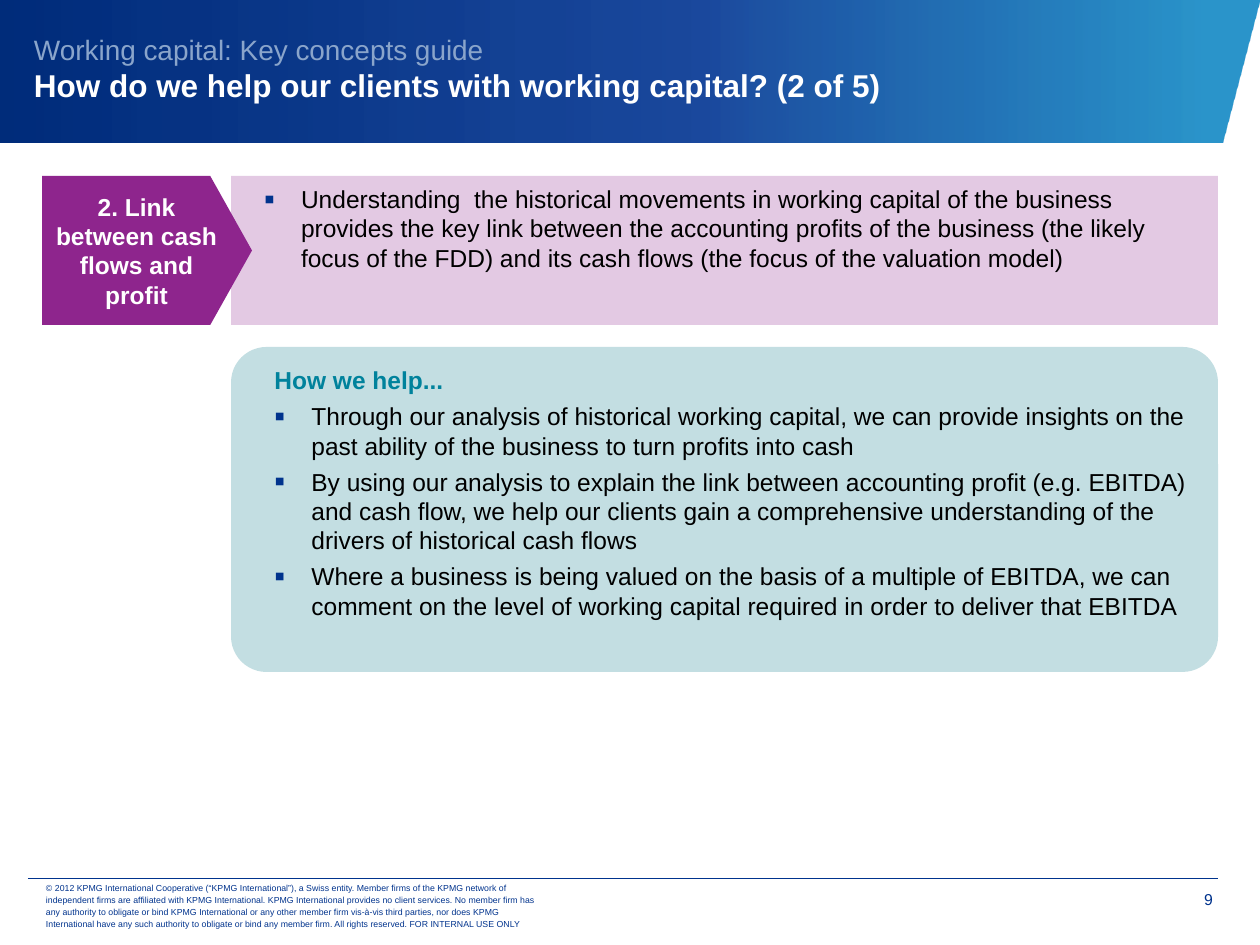
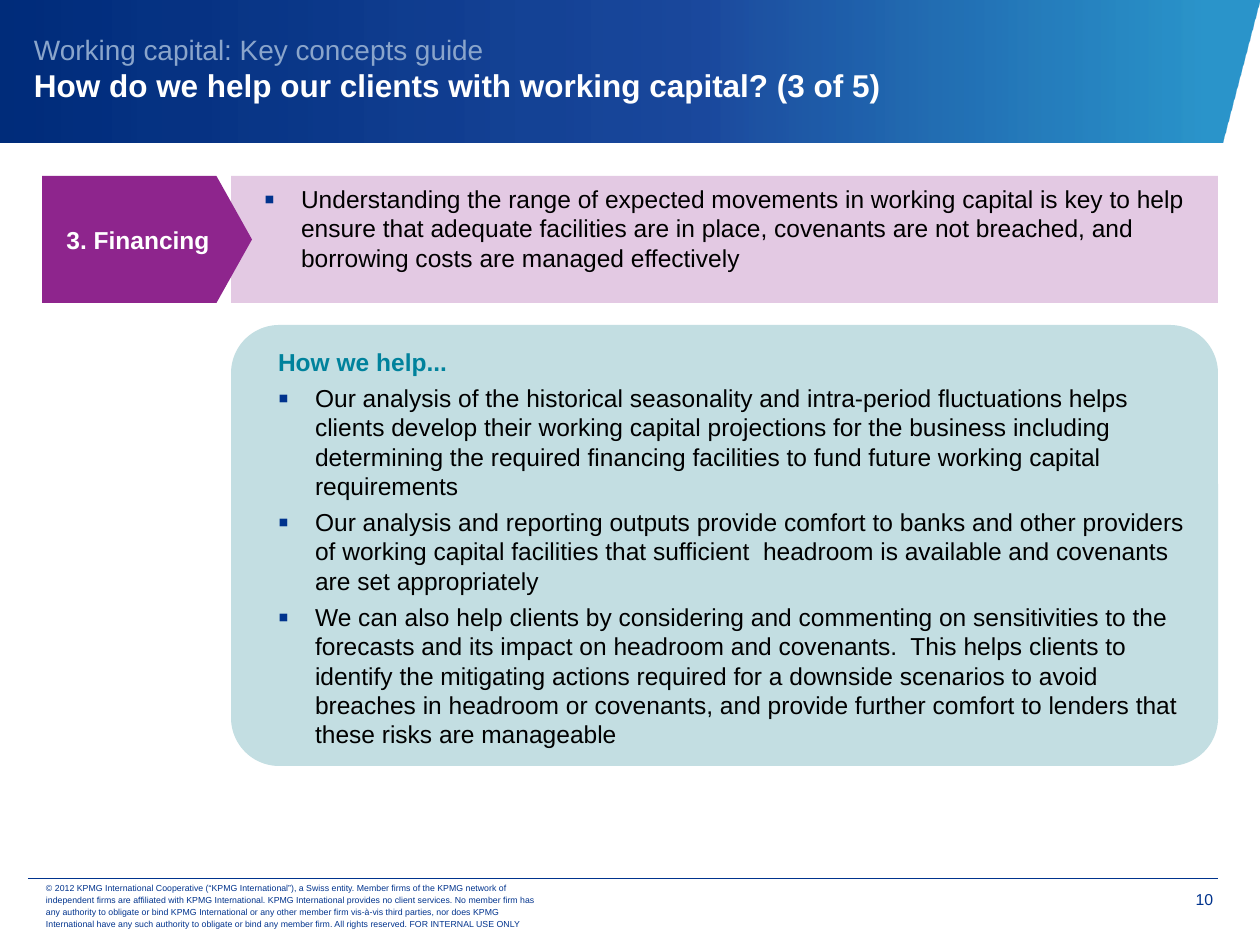
from lxml.etree import SubElement
from pptx import Presentation
from pptx.dml.color import RGBColor
from pptx.enum.shapes import MSO_CONNECTOR, MSO_SHAPE
from pptx.enum.text import MSO_ANCHOR as Anchor, MSO_AUTO_SIZE, PP_ALIGN as Align
from pptx.oxml import parse_xml
from pptx.oxml.ns import nsdecls, qn
from pptx.util import Pt

EMU_PER_PX = 914400 / 126
SLIDE_WIDTH, SLIDE_HEIGHT = 1260, 945
TITLE_ONLY = 5

# Shared style
FONT = "Arial"
BLACK, WHITE = "000000", "FFFFFF"
NAVY, PALE_BLUE, TEAL = "00338D", "8AA5CB", "00829C"
PURPLE, LILAC, AQUA = "8E258D", "E3C9E3", "C3DEE2"
BAND_STOPS = [(4, "0080C0", 83), (44, "003492", 89), (100, "002C7A", 100)]
BODY_SIZE = 14
BODY_SPACE = 3.7
PADDING = (8, 8, 8, 8)

# Shared grid
LABEL_LEFT, LABEL_WIDTH = 42, 210
PANEL_LEFT, PANEL_WIDTH = 231, 987
PANEL_TOP, PANEL_GAP = 176, 22
TEXT_INDENT, BULLET_HANG = 62, 37

GUIDE_NAME = "Working capital: Key concepts guide"
COPYRIGHT = (
    "© 2012 KPMG International Cooperative (“KPMG International”), a Swiss entity. "
    "Member firms of the KPMG network of independent firms are affiliated with KPMG "
    "International. KPMG International provides no client services. No member firm has "
    "any authority to obligate or bind KPMG International or any other member firm "
    "vis-à-vis third parties, nor does KPMG International have any such authority to "
    "obligate or bind any member firm. All rights reserved. FOR INTERNAL USE ONLY"
)

TOPICS = [
    dict(
        number=9,
        title="How do we help our clients with working capital? (2 of 5)",
        label="2. Link between cash flows and profit",
        summary="Understanding  the historical movements in working capital of the "
                "business provides the key link between the accounting profits of the "
                "business (the likely focus of the FDD) and its cash flows (the focus of "
                "the valuation model)",
        summary_height=149,
        help_points=[
            "Through our analysis of historical working capital, we can provide insights "
            "on the past ability of the business to turn profits into cash",
            "By using our analysis to explain the link between accounting profit (e.g. "
            "EBITDA) and cash flow, we help our clients gain a comprehensive "
            "understanding of the drivers of historical cash flows",
            "Where a business is being valued on the basis of a multiple of EBITDA, we "
            "can comment on the level of working capital required in order to deliver "
            "that EBITDA",
        ],
        help_height=325,
    ),
    dict(
        number=10,
        title="How do we help our clients with working capital? (3 of 5)",
        label="3. Financing",
        summary="Understanding the range of expected movements in working capital is key "
                "to help ensure that adequate facilities are in place, covenants are not "
                "breached, and borrowing costs are managed effectively",
        summary_height=127,
        help_points=[
            "Our analysis of the historical seasonality and intra-period fluctuations "
            "helps clients develop their working capital projections for the business "
            "including determining the required financing facilities to fund future "
            "working capital requirements",
            "Our analysis and reporting outputs provide comfort to banks and other "
            "providers of working capital facilities that sufficient  headroom is "
            "available and covenants are set appropriately",
            "We can also help clients by considering and commenting on sensitivities to "
            "the forecasts and its impact on headroom and covenants.  This helps clients "
            "to identify the mitigating actions required for a downside scenarios to "
            "avoid breaches in headroom or covenants, and provide further comfort to "
            "lenders that these risks are manageable",
        ],
        help_height=441,
    ),
]


def px(length):
    return round(length * EMU_PER_PX)


def color(hex_string):
    return RGBColor.from_string(hex_string)


def add_run(paragraph, text, size=BODY_SIZE, fill=BLACK, bold=False):
    run = paragraph.add_run()
    run.text = text
    run.font.name, run.font.size, run.font.bold = FONT, Pt(size), bold
    run.font.color.rgb = color(fill)


def set_frame(shape, anchor=Anchor.TOP, insets=(13, 6, 13, 6)):
    """Insets are left, top, right, bottom."""
    frame = shape.text_frame
    frame.word_wrap = True
    frame.auto_size = MSO_AUTO_SIZE.NONE
    frame.vertical_anchor = anchor
    (frame.margin_left, frame.margin_top,
     frame.margin_right, frame.margin_bottom) = map(px, insets)
    return frame


def set_indent(paragraph, bullet=False):
    properties = paragraph._p.get_or_add_pPr()
    properties.set("marL", str(px(TEXT_INDENT)))
    properties.set("indent", str(-px(BULLET_HANG)))
    if bullet:
        bullet_color = SubElement(properties, qn("a:buClr"))
        SubElement(bullet_color, qn("a:srgbClr"), val=NAVY)
        SubElement(properties, qn("a:buSzPct"), val="125000")
        SubElement(properties, qn("a:buFont"), typeface=FONT)
        SubElement(properties, qn("a:buChar"), char="▪")


def add_list(frame, points, heading=None):
    entries = [(point, True) for point in points]
    if heading:
        entries.insert(0, (heading, False))
    for index, (text, bullet) in enumerate(entries):
        paragraph = frame.add_paragraph() if index else frame.paragraphs[0]
        set_indent(paragraph, bullet)
        paragraph.alignment = Align.LEFT
        if index:
            paragraph.space_before = Pt(BODY_SPACE)
        add_run(paragraph, text, fill=BLACK if bullet else TEAL, bold=not bullet)


def add_panel(slide, kind, left, top, width, height, fill, adjustment=None):
    shape = slide.shapes.add_shape(kind, px(left), px(top), px(width), px(height))
    shape.shadow.inherit = False
    shape.fill.solid()
    shape.fill.fore_color.rgb = color(fill)
    shape.line.fill.background()
    if adjustment is not None:
        shape.adjustments[0] = adjustment
    return shape


def add_note(slide, left, top, width, height, text, size, align=Align.LEFT,
             line_spacing=None, **frame_format):
    box = slide.shapes.add_textbox(px(left), px(top), px(width), px(height))
    paragraph = set_frame(box, **frame_format).paragraphs[0]
    paragraph.alignment = align
    if line_spacing:
        paragraph.line_spacing = Pt(line_spacing)
    add_run(paragraph, text, size=size, fill=NAVY)


def add_band(slide):
    builder = slide.shapes.build_freeform(-1, 142, scale=EMU_PER_PX)
    builder.add_line_segments([(1222, 142), (1260, -1), (-1, 0)], close=True)
    band = builder.convert_to_shape()
    band.shadow.inherit = False
    band.line.fill.background()
    band.fill.gradient()
    band.fill.gradient_angle = 180
    stops = "".join(
        f'<a:gs pos="{position * 1000}"><a:srgbClr val="{fill}">'
        f'<a:alpha val="{opacity * 1000}"/></a:srgbClr></a:gs>'
        for position, fill, opacity in BAND_STOPS
    )
    old_stops = next(band.element.iter(qn("a:gsLst")))
    old_stops.getparent().replace(
        old_stops, parse_xml(f"<a:gsLst {nsdecls('a')}>{stops}</a:gsLst>"))
    return band


def add_title(slide, text):
    title = slide.shapes.title
    title.left, title.top, title.width, title.height = map(px, (21, 0, 1239, 136))
    paragraph = set_frame(title, anchor=Anchor.MIDDLE).paragraphs[0]
    paragraph.alignment = Align.LEFT
    add_run(paragraph, GUIDE_NAME, size=16, fill=PALE_BLUE)
    paragraph.add_line_break()
    add_run(paragraph, text, size=18, fill=WHITE, bold=True)
    # The band goes behind the title
    title.element.addprevious(add_band(slide).element)


def add_footer(slide, number):
    rule = slide.shapes.add_connector(
        MSO_CONNECTOR.STRAIGHT, px(28), px(878), px(1218), px(878))
    rule.line.color.rgb = color(NAVY)
    rule.line.width = Pt(0.25)
    SubElement(rule.element.spPr, qn("a:effectLst"))
    add_note(slide, 1144, 880, 69, 39, str(number), 9, align=Align.RIGHT,
             insets=(10, 10, 0, 0))
    add_note(slide, 33, 883, 523, 44, COPYRIGHT, 5, line_spacing=7,
             anchor=Anchor.MIDDLE)


def add_summary(slide, label, summary, height):
    panel = add_panel(slide, MSO_SHAPE.RECTANGLE, PANEL_LEFT, PANEL_TOP,
                      PANEL_WIDTH, height, LILAC)
    add_list(set_frame(panel, insets=PADDING), [summary])
    arrow = add_panel(slide, MSO_SHAPE.PENTAGON, LABEL_LEFT, PANEL_TOP,
                      LABEL_WIDTH, height, PURPLE, adjustment=0.28)
    paragraph = set_frame(arrow, Anchor.MIDDLE, PADDING).paragraphs[0]
    paragraph.alignment = Align.CENTER
    add_run(paragraph, label, fill=WHITE, bold=True)


def add_help(slide, points, top, height):
    panel = add_panel(slide, MSO_SHAPE.ROUNDED_RECTANGLE, PANEL_LEFT, top,
                      PANEL_WIDTH, height, AQUA, adjustment=0.109)
    add_list(set_frame(panel, insets=PADDING), points, heading="How we help...")


def add_topic_slide(presentation, topic):
    slide = presentation.slides.add_slide(presentation.slide_layouts[TITLE_ONLY])
    add_title(slide, topic["title"])
    add_footer(slide, topic["number"])
    add_summary(slide, topic["label"], topic["summary"], topic["summary_height"])
    help_top = PANEL_TOP + topic["summary_height"] + PANEL_GAP
    add_help(slide, topic["help_points"], help_top, topic["help_height"])


def main():
    presentation = Presentation()
    presentation.slide_width = px(SLIDE_WIDTH)
    presentation.slide_height = px(SLIDE_HEIGHT)
    for topic in TOPICS:
        add_topic_slide(presentation, topic)
    presentation.save("out.pptx")


if __name__ == "__main__":
    main()
